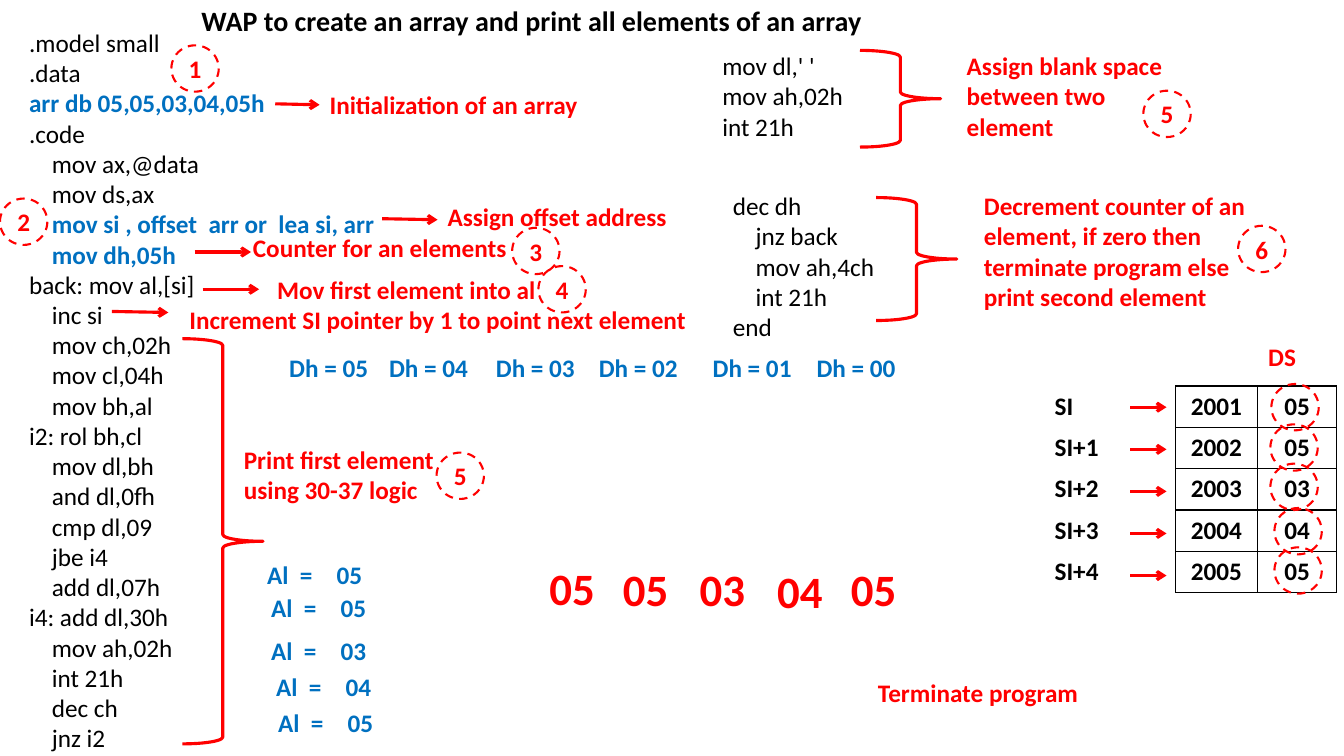
from lxml.etree import SubElement
from pptx import Presentation
from pptx.dml.color import RGBColor
from pptx.enum.dml import MSO_LINE
from pptx.enum.shapes import MSO_CONNECTOR, MSO_SHAPE
from pptx.enum.text import MSO_ANCHOR, PP_ALIGN
from pptx.oxml.ns import qn
from pptx.util import Inches, Pt

# Theme
THEME = {
    "font": "Calibri", "body": 18, "title": 20, "output": 32,
    "black": "000000", "red": "FF0000", "blue": "0070C0",
    "arrow": 2.25, "ring": 1.5, "border": 1,
}

# Content
TITLE = "WAP to create an array and print all elements of an array"
PROGRAM = """.model small
.data
arr db 05,05,03,04,05h
.code
    mov ax,@data
    mov ds,ax
    mov si , offset  arr or  lea si, arr
    mov dh,05h
back: mov al,[si]
    inc si
    mov ch,02h
    mov cl,04h
    mov bh,al
i2: rol bh,cl
    mov dl,bh
    and dl,0fh
    cmp dl,09
    jbe i4
    add dl,07h
i4: add dl,30h
    mov ah,02h
    int 21h
    dec ch
    jnz i2"""
SPACE_CODE = """    mov dl,' '
    mov ah,02h
    int 21h"""
LOOP_CODE = """dec dh
    jnz back
    mov ah,4ch
    int 21h
end"""
KEY_LINES = (2, 6, 7)

# text, left, top, width, height
CODE = [
    (PROGRAM, 0.19, 0.22, 3.87, 7.28),
    (SPACE_CODE, 6.84, 0.45, 3.12, 1.01),
    (LOOP_CODE, 7.17, 1.84, 1.65, 1.62),
]
NOTES = [
    ("Initialization of an array", 3.17, 0.84, 2.78, 0.4),
    ("Counter for an elements", 2.41, 2.26, 2.78, 0.4),
    ("Mov first element into al", 2.65, 2.67, 2.78, 0.4),
    ("Increment SI pointer by 1 to point next element", 1.78, 2.97, 5.92, 0.4),
    ("Assign offset address", 4.34, 1.95, 2.78, 0.4),
    ("Print first element using 30-37 logic", 2.32, 4.36, 2.18, 0.71),
    ("Assign blank space between two element", 9.49, 0.45, 2.37, 1.01),
    ("Decrement counter of an element, if zero then terminate program "
     "else print second element", 9.66, 1.84, 3.09, 1.31),
    ("Terminate program", 8.61, 6.67, 3.04, 0.4),
]
# left, top, right, bottom
ARROWS = [
    (2.73, 1.03, 3.17, 1.04),
    (1.93, 2.5, 2.49, 2.5),
    (2.01, 2.87, 2.57, 2.87),
    (1.11, 3.09, 1.67, 3.1),
    (3.79, 2.17, 4.34, 2.18),
]
# left, top, width, height
BRACES = [(1.81, 3.36, 0.8, 4.02), (8.53, 0.5, 0.8, 0.96), (8.69, 1.96, 0.8, 1.22)]
# step, left, top
STEPS = [("1", 1.7, 0.45), ("2", 0, 1.97), ("3", 5.08, 2.26), ("4", 5.34, 2.64),
         ("5", 4.33, 4.49), ("5", 11.34, 0.9), ("6", 12.28, 2.24)]
MEMORY = [("SI", "2001", "05"), ("SI+1", "2002", "05"), ("SI+2", "2003", "03"),
          ("SI+3", "2004", "04"), ("SI+4", "2005", "05")]
MEMORY_RINGS = [(12.61, 3.81), (12.6, 4.21), (12.6, 4.6), (12.64, 5.04), (12.64, 5.43)]
COLUMNS = (1.3, 0.81, 0.79)
COUNTERS = [("05", 2.77), ("04", 3.76), ("03", 4.82), ("02", 5.84), ("01", 6.97), ("00", 8)]
AL_VALUES = [("05", 2.55, 5.5), ("05", 2.59, 5.83), ("03", 2.59, 6.25),
             ("04", 2.64, 6.61), ("05", 2.66, 6.97)]
OUTPUT = [("05", 5.35, 5.51), ("05", 6.08, 5.52), ("03", 6.84, 5.52),
          ("04", 7.61, 5.54), ("05", 8.34, 5.52)]

prs = Presentation()
prs.slide_width, prs.slide_height = Inches(13.33), Inches(7.5)
s = prs.slides.add_slide(prs.slide_layouts[6])


def color(name):
    return RGBColor.from_string(THEME[name])


def write(p, text, size="body", ink="red", bold=True, align=PP_ALIGN.LEFT):
    p.alignment = align
    r = p.add_run()
    r.text = text
    r.font.name, r.font.size, r.font.bold = THEME["font"], Pt(THEME[size]), bold
    r.font.color.rgb = color(ink)


def add_box(left, top, width, height, wrap=True):
    tf = s.shapes.add_textbox(*map(Inches, (left, top, width, height))).text_frame
    tf.word_wrap = wrap
    return tf


def add_label(text, left, top, width, height, wrap=True, **fmt):
    write(add_box(left, top, width, height, wrap).paragraphs[0], text, **fmt)


def add_code(text, left, top, width, height, key_lines=()):
    tf = add_box(left, top, width, height)
    for i, line in enumerate(text.split("\n")):
        p = tf.add_paragraph() if i else tf.paragraphs[0]
        key = i in key_lines
        write(p, line, ink="blue" if key else "black", bold=key)


def add_outline(kind, left, top, width, height, weight):
    sp = s.shapes.add_shape(kind, *map(Inches, (left, top, width, height)))
    sp.shadow.inherit = False
    sp.fill.background()
    sp.line.color.rgb = color("red")
    sp.line.width = Pt(THEME[weight])
    return sp


def add_ring(left, top, step=None):
    sp = add_outline(MSO_SHAPE.OVAL, left, top, 0.47, 0.46, "ring")
    sp.line.dash_style = MSO_LINE.DASH
    if step:
        sp.text_frame.vertical_anchor = MSO_ANCHOR.MIDDLE
        write(sp.text_frame.paragraphs[0], step, align=PP_ALIGN.CENTER)


def add_arrow(*ends):
    line = s.shapes.add_connector(MSO_CONNECTOR.STRAIGHT, *map(Inches, ends))
    line.line.color.rgb = color("red")
    line.line.width = Pt(THEME["arrow"])
    SubElement(line.line._get_or_add_ln(), qn("a:tailEnd"), type="arrow")
    SubElement(line._element.spPr, qn("a:effectLst"))


def add_borders(cell, sides):
    tc_pr = cell._tc.get_or_add_tcPr()
    for i, side in enumerate(sides):
        ln = SubElement(tc_pr, qn(f"a:ln{side}"), w=str(Pt(THEME["border"])))
        fill = SubElement(ln, qn("a:solidFill"))
        SubElement(fill, qn("a:srgbClr"), val=THEME["black"])
        tc_pr.insert(i, ln)


# Title, code and notes
tf = add_box(1.9, 0, 10.22, 0.45)
tf.vertical_anchor = MSO_ANCHOR.MIDDLE
tf.paragraphs[0].line_spacing = 0.9
write(tf.paragraphs[0], TITLE, size="title", ink="black")
for text, *place in CODE:
    add_code(text, *place, key_lines=KEY_LINES if text == PROGRAM else ())
for note in NOTES:
    add_label(*note)

# Arrows, braces and step numbers
for arrow in ARROWS:
    add_arrow(*arrow)
for brace in BRACES:
    add_outline(MSO_SHAPE.RIGHT_BRACE, *brace, "arrow")
for step, left, top in STEPS:
    add_ring(left, top, step)

# Data segment table
add_label("DS", 12.48, 3.34, 0.48, 0.4, wrap=False)
frame = s.shapes.add_table(len(MEMORY), len(COLUMNS), Inches(10.36), Inches(3.83),
                           Inches(sum(COLUMNS)), Inches(0.41 * len(MEMORY)))
table = frame.table
table.first_row = table.horz_banding = False
for column, width in zip(table.columns, COLUMNS):
    column.width = Inches(width)
for i, row in enumerate(MEMORY):
    table.rows[i].height = Inches(0.41)
    for j, text in enumerate(row):
        cell = table.cell(i, j)
        cell.fill.background()
        write(cell.text_frame.paragraphs[0], text, ink="black",
              align=PP_ALIGN.CENTER if j else PP_ALIGN.LEFT)
        add_borders(cell, "LRTB" if j else "R")
    y = 4.04 + 0.4175 * i
    add_arrow(11.21, y, 11.57, y)
for ring in MEMORY_RINGS:
    add_ring(*ring)

# Register values and printed output
for value, left in COUNTERS:
    add_label(f"Dh = {value}", left, 3.45, 0.99, 0.4, wrap=False, ink="blue")
for value, left, top in AL_VALUES:
    add_label("Al  =", left, top, 0.72, 0.4, ink="blue")
    add_label(value, left + 0.69, top, 0.46, 0.4, wrap=False, ink="blue")
for value, left, top in OUTPUT:
    add_label(value, left, top, 0.65, 0.64, wrap=False, size="output")

prs.save("out.pptx")
